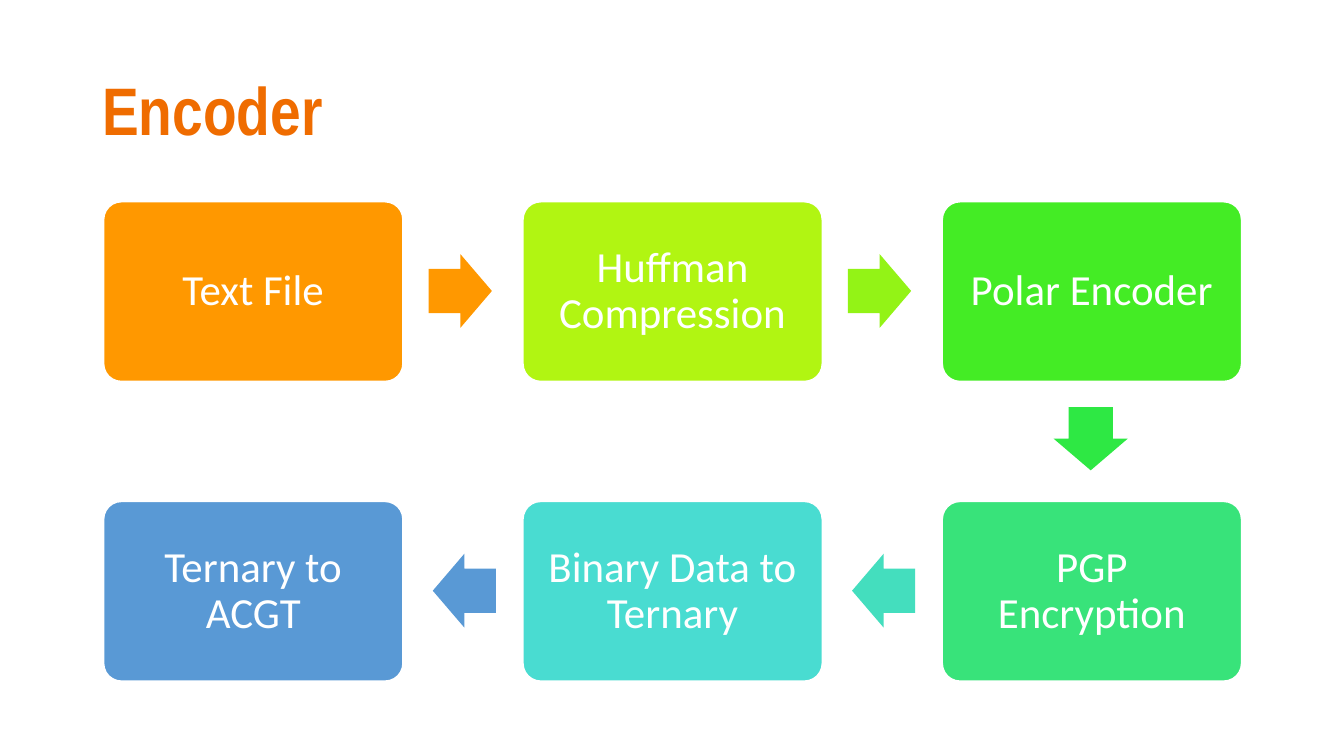
from dataclasses import dataclass

from pptx import Presentation
from pptx import util as u
from pptx.dml.color import RGBColor
from pptx.enum import shapes, text

COLORS = {
    "title": "EF6C00",
    "white": "FFFFFF",
    "orange": "FF9800",
    "lime": "B1F512",
    "lime_green": "93F316",
    "green": "44EC25",
    "mid_green": "2EE844",
    "mint": "38E37A",
    "aqua": "44DEBE",
    "turquoise": "49DCD1",
    "blue": "5999D5",
}

# Grid of step boxes, in inches
LEFT, TOP = 0.77, 1.5
COLUMN_STEP, ROW_STEP = 3.12, 2.23
BOX_WIDTH, BOX_HEIGHT = 2.23, 1.34
ARROW_WIDTH, ARROW_HEIGHT = 0.47, 0.55


@dataclass
class Step:
    label: str
    column: int
    row: int
    color: str


@dataclass
class Arrow:
    left: float
    top: float
    rotation: int
    color: str


STEPS = [
    Step("Text File", 0, 0, "orange"),
    Step("Huffman Compression", 1, 0, "lime"),
    Step("Polar Encoder", 2, 0, "green"),
    Step("PGP Encryption", 2, 1, "mint"),
    Step("Binary Data to Ternary", 1, 1, "turquoise"),
    Step("Ternary to ACGT", 0, 1, "blue"),
]

ARROWS = [
    Arrow(3.19, 1.89, 0, "orange"),
    Arrow(6.31, 1.89, 0, "lime_green"),
    Arrow(7.88, 2.99, 90, "mid_green"),
    Arrow(6.34, 4.12, 180, "aqua"),
    Arrow(3.22, 4.12, 180, "blue"),
]


def rgb(name: str) -> RGBColor:
    return RGBColor.from_string(COLORS[name])


def set_text(shape, content: str, font: str, size: int, color: str,
             align, margins: tuple[float, float], bold: bool = False) -> None:
    frame = shape.text_frame
    frame.text = content
    frame.word_wrap = True
    frame.auto_size = text.MSO_AUTO_SIZE.NONE
    frame.vertical_anchor = text.MSO_ANCHOR.MIDDLE
    frame.margin_left = frame.margin_right = u.Inches(margins[0])
    frame.margin_top = frame.margin_bottom = u.Inches(margins[1])
    para = frame.paragraphs[0]
    para.alignment = align
    para.line_spacing = 0.9
    para.space_before = para.space_after = u.Pt(0)
    span = para.runs[0]
    span.font.name = font
    span.font.size = u.Pt(size)
    span.font.bold = bold
    span.font.color.rgb = rgb(color)


def draw_step(page, step: Step) -> None:
    box = page.shapes.add_shape(
        shapes.MSO_SHAPE.ROUNDED_RECTANGLE,
        u.Inches(LEFT + step.column * COLUMN_STEP),
        u.Inches(TOP + step.row * ROW_STEP),
        u.Inches(BOX_WIDTH), u.Inches(BOX_HEIGHT))
    box.adjustments[0] = 0.1
    box.shadow.inherit = False
    box.fill.solid()
    box.fill.fore_color.rgb = rgb(step.color)
    box.line.color.rgb = rgb("white")
    box.line.width = u.Pt(1)
    set_text(box, step.label, "Calibri", 23, "white",
             text.PP_ALIGN.CENTER, (0.12, 0.12))


def draw_arrow(page, arrow: Arrow) -> None:
    shape = page.shapes.add_shape(
        shapes.MSO_SHAPE.RIGHT_ARROW,
        u.Inches(arrow.left), u.Inches(arrow.top),
        u.Inches(ARROW_WIDTH), u.Inches(ARROW_HEIGHT))
    shape.adjustments[0] = 0.6
    shape.adjustments[1] = 0.5
    shape.rotation = arrow.rotation
    shape.shadow.inherit = False
    shape.fill.solid()
    shape.fill.fore_color.rgb = rgb(arrow.color)
    shape.line.fill.background()


def main() -> None:
    # Widescreen deck, 16:9
    deck = Presentation()
    deck.slide_width = u.Inches(10)
    deck.slide_height = u.Inches(10 * 9 / 16)
    page = deck.slides.add_slide(deck.slide_layouts[5])

    # Title
    title = page.shapes.title
    title.left, title.top = u.Inches(0.69), u.Inches(0.3)
    title.width, title.height = u.Inches(8.62), u.Inches(1.09)
    set_text(title, "Encoder", "Arial Narrow", 36, "title",
             text.PP_ALIGN.LEFT, (0.07, 0.04), bold=True)

    # Process flow
    for step in STEPS:
        draw_step(page, step)
    for arrow in ARROWS:
        draw_arrow(page, arrow)

    deck.save("out.pptx")


if __name__ == "__main__":
    main()
